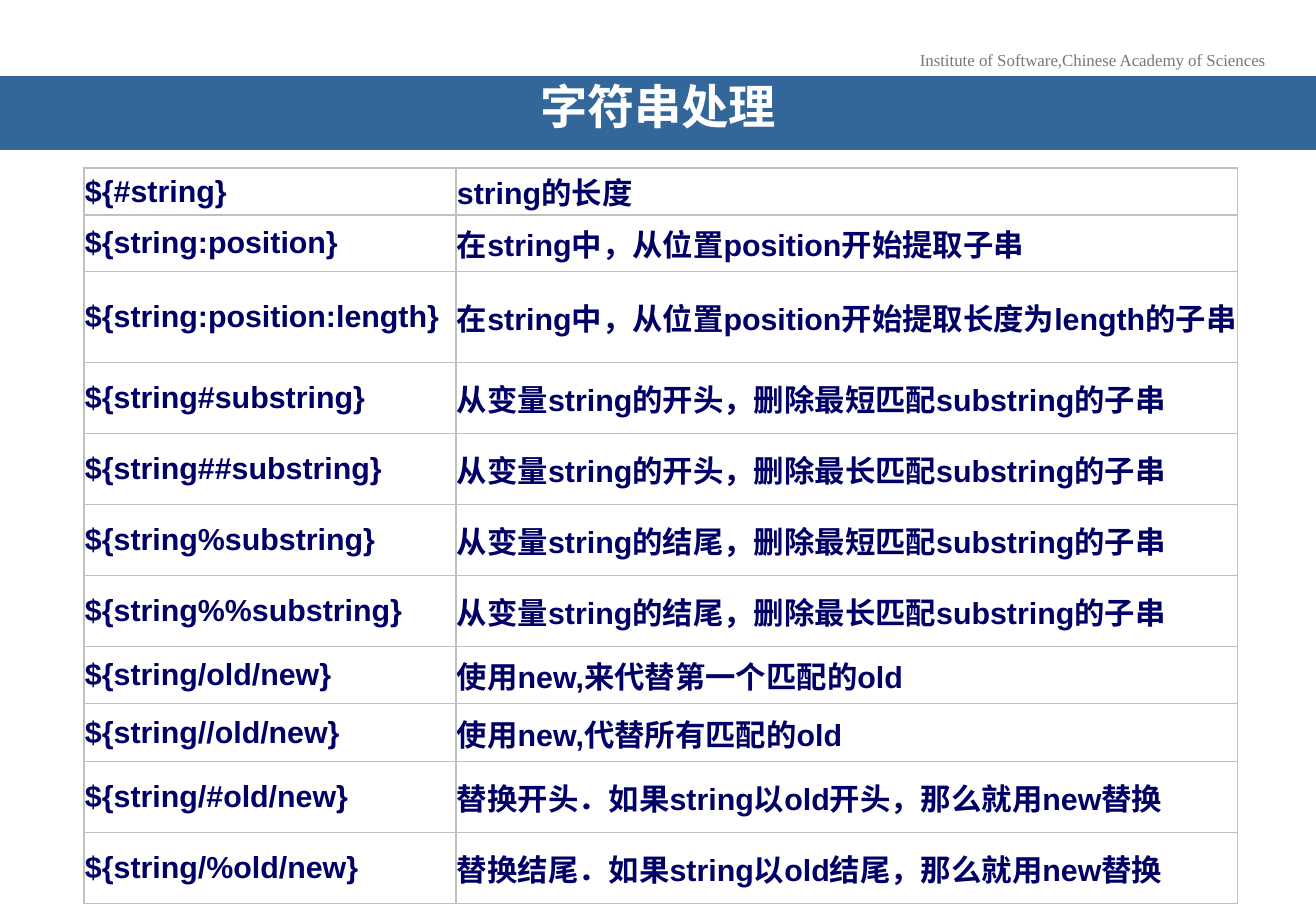
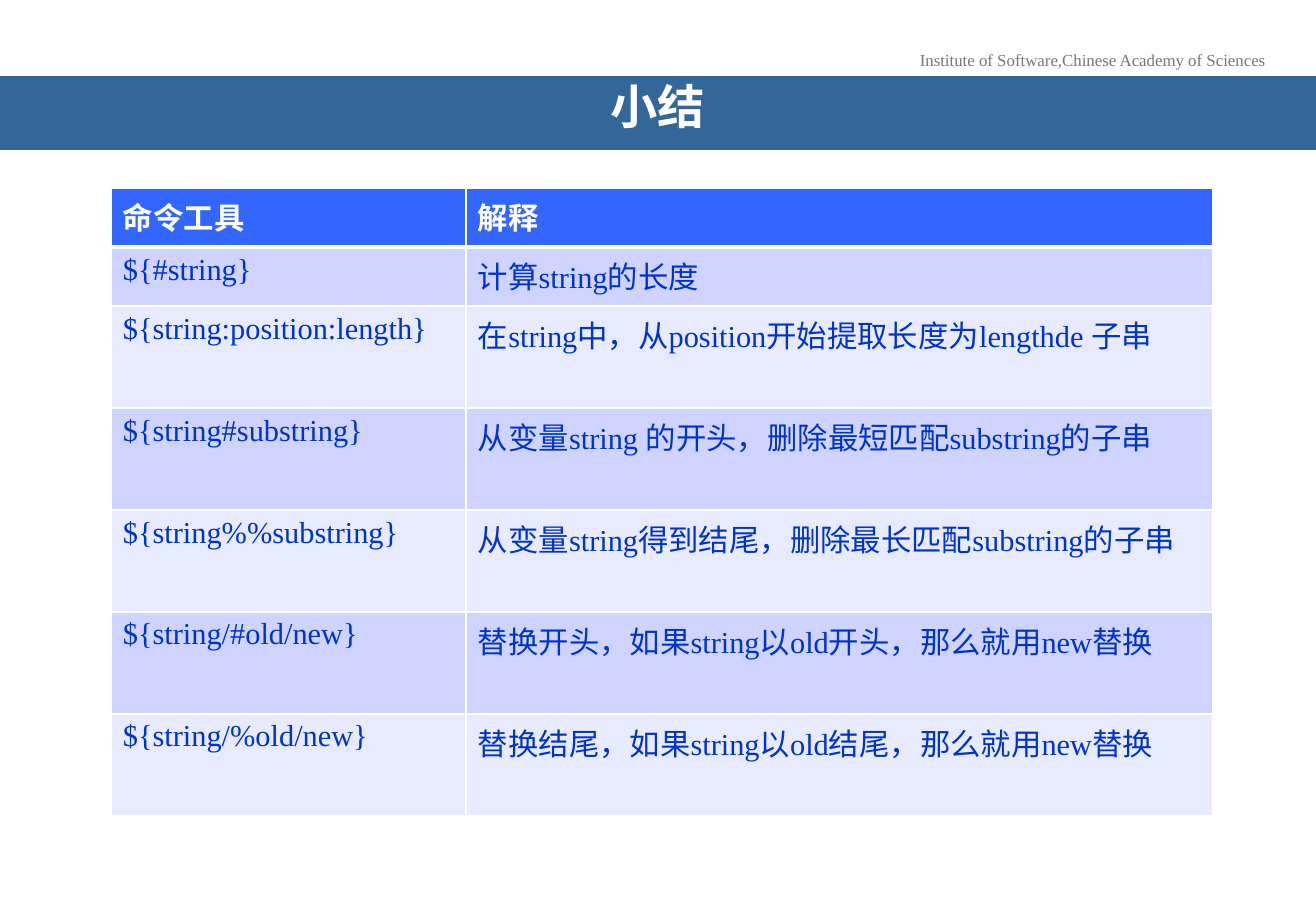
from lxml import etree
from pptx import Presentation
from pptx.dml.color import RGBColor
from pptx.enum.text import MSO_ANCHOR, MSO_AUTO_SIZE, PP_ALIGN
from pptx.oxml.ns import qn
from pptx.util import Pt

CENTER, LEFT = PP_ALIGN.CENTER, PP_ALIGN.LEFT
MIDDLE, TOP = MSO_ANCHOR.MIDDLE, MSO_ANCHOR.TOP
FIXED = MSO_AUTO_SIZE.NONE

WHITE = RGBColor(0xFF, 0xFF, 0xFF)
GRAY = RGBColor(0x77, 0x77, 0x77)
SILVER = RGBColor(0xC0, 0xC0, 0xC0)
BAND = RGBColor(0x33, 0x66, 0x99)
NAVY = RGBColor(0x00, 0x00, 0x66)
BLUE = RGBColor(0x00, 0x33, 0xCC)
HEAD = RGBColor(0x33, 0x66, 0xFF)
STRIPES = (RGBColor(0xCE, 0xD3, 0xFF), RGBColor(0xE8, 0xEA, 0xFF))

# Content
ORG = "Institute of Software,Chinese Academy of Sciences"
STRING_OPS = [
    ("${#string}", "string的长度"),
    ("${string:position}", "在string中，从位置position开始提取子串"),
    ("${string:position:length}",
     "在string中，从位置position开始提取长度为length的子串"),
    ("${string#substring}", "从变量string的开头，删除最短匹配substring的子串"),
    ("${string##substring}", "从变量string的开头，删除最长匹配substring的子串"),
    ("${string%substring}", "从变量string的结尾，删除最短匹配substring的子串"),
    ("${string%%substring}", "从变量string的结尾，删除最长匹配substring的子串"),
    ("${string/old/new}", "使用new,来代替第一个匹配的old"),
    ("${string//old/new}", "使用new,代替所有匹配的old"),
    ("${string/#old/new}", "替换开头．如果string以old开头，那么就用new替换"),
    ("${string/%old/new}", "替换结尾．如果string以old结尾，那么就用new替换"),
]
SUMMARY = [
    ("命令工具", "解释"),
    ("${#string}", "计算string的长度"),
    ("${string:position:length}",
     "在string中，从position开始提取长度为lengthde 子串"),
    ("${string#substring}", "从变量string 的开头，删除最短匹配substring的子串"),
    ("${string%%substring}", "从变量string得到结尾，删除最长匹配substring的子串"),
    ("${string/#old/new}", "替换开头，如果string以old开头，那么就用new替换"),
    ("${string/%old/new}", "替换结尾，如果string以old结尾，那么就用new替换"),
]
OP_ROWS = [47, 57, 91] + [71] * 4 + [57, 58] + [71] * 2
SUM_ROWS = [59] * 2 + [102] * 5

# Geometry in px
WIDE, HIGH = 1316, 911
SCALE = 914400 / 121.5


def px(n):
    return round(n * SCALE)


def style(para, face, size, color, bold=False, align=LEFT):
    para.alignment = align
    for run in para.runs:
        font = run.font
        font.name, font.size, font.bold = face, Pt(size), bold
        font.color.rgb = color


def inset(obj, side, end):
    obj.margin_left = obj.margin_right = px(side)
    obj.margin_top = obj.margin_bottom = px(end)


def add_org(slide, layout):
    """Build the institute line and hand it to the layout."""
    box = slide.shapes.add_textbox(px(906), px(44), px(373), px(33))
    frame = box.text_frame
    frame.text = ORG
    frame.word_wrap = False
    style(frame.paragraphs[0], "Times New Roman", 10, GRAY, align=CENTER)
    layout.shapes._spTree.append(box._element)


def add_slide(deck, layout, text):
    slide = deck.slides.add_slide(layout)
    title = slide.shapes.title
    title.left, title.top = 0, px(76)
    title.width, title.height = px(WIDE), px(74)
    title.fill.solid()
    title.fill.fore_color.rgb = BAND
    frame = title.text_frame
    frame.text = text
    frame.auto_size = FIXED
    frame.vertical_anchor = MIDDLE
    inset(frame, 38, 6)
    para = frame.paragraphs[0]
    para.line_spacing = 0.7
    style(para, "Arial Narrow", 28, WHITE, True, CENTER)
    return slide


def border(cell, color, widths):
    """Widths in points, in the order left, right, top, bottom."""
    props = cell._tc.get_or_add_tcPr()
    for side, width in zip("LRTB", widths):
        line = etree.SubElement(props, qn("a:ln" + side), w=str(Pt(width)))
        fill = etree.SubElement(line, qn("a:solidFill"))
        etree.SubElement(fill, qn("a:srgbClr"), val=str(color))


def add_grid(slide, rows, left, top, cols, heights, paint):
    frame = slide.shapes.add_table(len(rows), len(cols), px(left), px(top),
                                   px(sum(cols)), px(sum(heights)))
    table = frame.table
    table.first_row = table.horz_banding = False
    for col, width in zip(table.columns, cols):
        col.width = px(width)
    for i, (row, height) in enumerate(zip(rows, heights)):
        table.rows[i].height = px(height)
        for j, text in enumerate(row):
            cell = table.cell(i, j)
            cell.text = text
            paint(cell, i)


def paint_op(cell, i):
    border(cell, SILVER, [0.75] * 4)
    cell.fill.background()
    cell.vertical_anchor = MIDDLE
    inset(cell, 1, 1)
    style(cell.text_frame.paragraphs[0], "Arial", 18, NAVY, True)


def paint_sum(cell, i):
    head = i == 0
    # The rule under the header row is thicker
    border(cell, WHITE, [1, 1, 3 if i == 1 else 1, 3 if head else 1])
    cell.fill.solid()
    cell.fill.fore_color.rgb = HEAD if head else STRIPES[(i - 1) % 2]
    cell.vertical_anchor = TOP
    inset(cell, 12, 6)
    style(cell.text_frame.paragraphs[0], "Times New Roman", 18,
          WHITE if head else BLUE, head)


def main():
    deck = Presentation()
    deck.slide_width, deck.slide_height = px(WIDE), px(HIGH)
    layout = deck.slide_layouts[5]

    # String handling
    slide = add_slide(deck, layout, "字符串处理")
    add_org(slide, layout)
    add_grid(slide, STRING_OPS, 84, 168, (372, 782), OP_ROWS, paint_op)

    # Summary
    slide = add_slide(deck, layout, "小结")
    add_grid(slide, SUMMARY, 111, 188, (355, 747), SUM_ROWS, paint_sum)

    deck.save("out.pptx")


if __name__ == "__main__":
    main()
